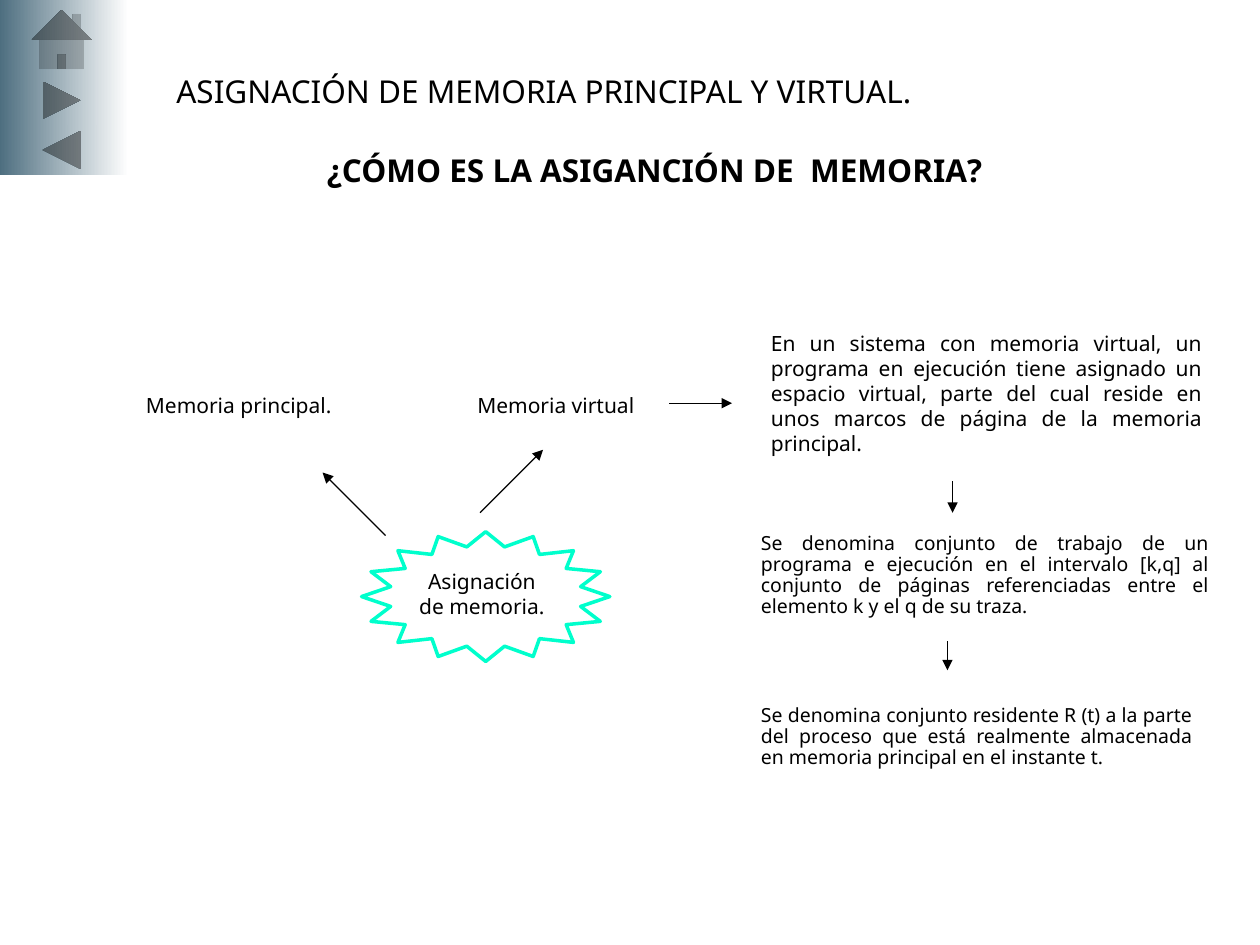
from pptx import Presentation
from pptx.dml.color import RGBColor
from pptx.enum.shapes import MSO_CONNECTOR, MSO_SHAPE
from pptx.enum.text import MSO_ANCHOR, PP_ALIGN
from pptx.oxml.ns import qn
from pptx.util import Inches, Pt
from lxml import etree

HOME = MSO_SHAPE.ACTION_BUTTON_HOME
NEXT = MSO_SHAPE.ACTION_BUTTON_FORWARD_OR_NEXT
BACK = MSO_SHAPE.ACTION_BUTTON_BACK_OR_PREVIOUS
STAR = MSO_SHAPE.STAR_16_POINT
STRAIGHT = MSO_CONNECTOR.STRAIGHT
TOP = MSO_ANCHOR.TOP
LEFT, CENTER, JUSTIFY = PP_ALIGN.LEFT, PP_ALIGN.CENTER, PP_ALIGN.JUSTIFY

COLORS = {"text": "000000", "button": "47697B", "fade": "FFFFFF", "star": "00FFCC"}
FONT = "Noto Sans"


def color(name):
    return RGBColor.from_string(COLORS[name])


class SlideBuilder:
    """Holds the style and the current slide."""

    def __init__(self, presentation):
        self.slide = presentation.slides.add_slide(presentation.slide_layouts[5])

    def fill_text(self, shape, lines, size=12, bold=False, align=LEFT,
                  spacing=1.0, wrap=True):
        frame = shape.text_frame
        frame.word_wrap = wrap
        frame.vertical_anchor = TOP
        frame.text = "\n".join(lines)
        font_format = {"name": FONT, "size": Pt(size), "bold": bold}
        for paragraph in frame.paragraphs:
            paragraph.alignment = align
            paragraph.line_spacing = spacing
            for attribute, value in font_format.items():
                setattr(paragraph.font, attribute, value)
            paragraph.font.color.rgb = color("text")

    def title(self, box, text, **style):
        shape = self.slide.shapes.title
        for attribute, value in zip(("left", "top", "width", "height"), box):
            setattr(shape, attribute, Inches(value))
        self.fill_text(shape, [text], **style)

    def text(self, box, *lines, **style):
        shape = self.slide.shapes.add_textbox(*map(Inches, box))
        self.fill_text(shape, lines, **style)

    def shape(self, kind, box):
        shape = self.slide.shapes.add_shape(kind, *map(Inches, box))
        shape.shadow.inherit = False
        return shape

    def button(self, kind, box):
        shape = self.shape(kind, box)
        shape.line.fill.background()
        shape.fill.gradient()
        shape.fill.gradient_angle = 0
        for stop, name, position in zip(shape.fill.gradient_stops,
                                        ("button", "fade"), (0, 1)):
            stop.color.rgb = color(name)
            stop.position = position

    def star(self, box, inner_radius):
        shape = self.shape(STAR, box)
        shape.adjustments[0] = inner_radius
        shape.fill.background()
        shape.line.color.rgb = color("star")
        shape.line.width = Pt(2)

    def arrow(self, *ends):
        connector = self.slide.shapes.add_connector(STRAIGHT, *map(Inches, ends))
        connector.line.color.rgb = color("text")
        connector.line.width = Pt(0.75)
        line = connector.line._get_or_add_ln()
        etree.SubElement(line, qn("a:tailEnd"), type="triangle")
        etree.SubElement(connector._element.spPr, qn("a:effectLst"))


def main():
    presentation = Presentation()
    presentation.slide_width = Inches(10)
    presentation.slide_height = Inches(7.5)
    builder = SlideBuilder(presentation)

    # Navigation buttons
    for kind, top, height in ((HOME, 0, 0.63), (NEXT, 0.6, 0.39), (BACK, 0.99, 0.4)):
        builder.button(kind, (-0.04, top, 1.06, height))

    # Headings
    builder.title((1.3, 0.52, 7.64, 0.4),
                  "ASIGNACIÓN DE MEMORIA PRINCIPAL Y VIRTUAL.", size=18)
    builder.text((2.24, 1.15, 5.91, 0.71), "¿CÓMO ES LA ASIGANCIÓN DE  MEMORIA?",
                 size=18, bold=True, align=CENTER, wrap=False)

    # Central star and its two branches
    builder.star((2.87, 4.22, 1.97, 1.03), 0.39)
    builder.text((2.72, 4.46, 2.21, 0.55), "Asignación", "de memoria.", align=CENTER)
    builder.text((1.06, 3.07, 1.75, 0.37), "Memoria principal.")
    builder.text((3.69, 3.07, 1.5, 0.37), "Memoria virtual")

    # Explanations of virtual memory
    builder.text((6.02, 2.57, 3.62, 1.12),
                 "En un sistema con memoria virtual, un programa en ejecución tiene "
                 "asignado un espacio virtual, parte del cual reside en unos marcos "
                 "de página de la memoria principal.", align=JUSTIFY)
    detail = {"size": 11.1, "align": JUSTIFY, "spacing": 0.9}
    builder.text((5.94, 4.19, 3.75, 0.88),
                 "Se denomina conjunto de trabajo de un programa e ejecución en el "
                 "intervalo [k,q] al conjunto de páginas referenciadas entre el "
                 "elemento k y el q de su traza.", **detail)
    builder.text((5.94, 5.55, 3.62, 0.88),
                 "Se denomina conjunto residente R (t) a la parte del proceso que "
                 "está realmente almacenada en memoria principal en el instante t.",
                 **detail)

    # Arrows
    for ends in ((3.06, 4.25, 2.56, 3.75), (3.81, 4.07, 4.31, 3.57),
                 (5.31, 3.2, 5.81, 3.2), (7.56, 3.82, 7.56, 4.07),
                 (7.52, 5.09, 7.52, 5.32)):
        builder.arrow(*ends)

    presentation.save("out.pptx")


if __name__ == "__main__":
    main()
